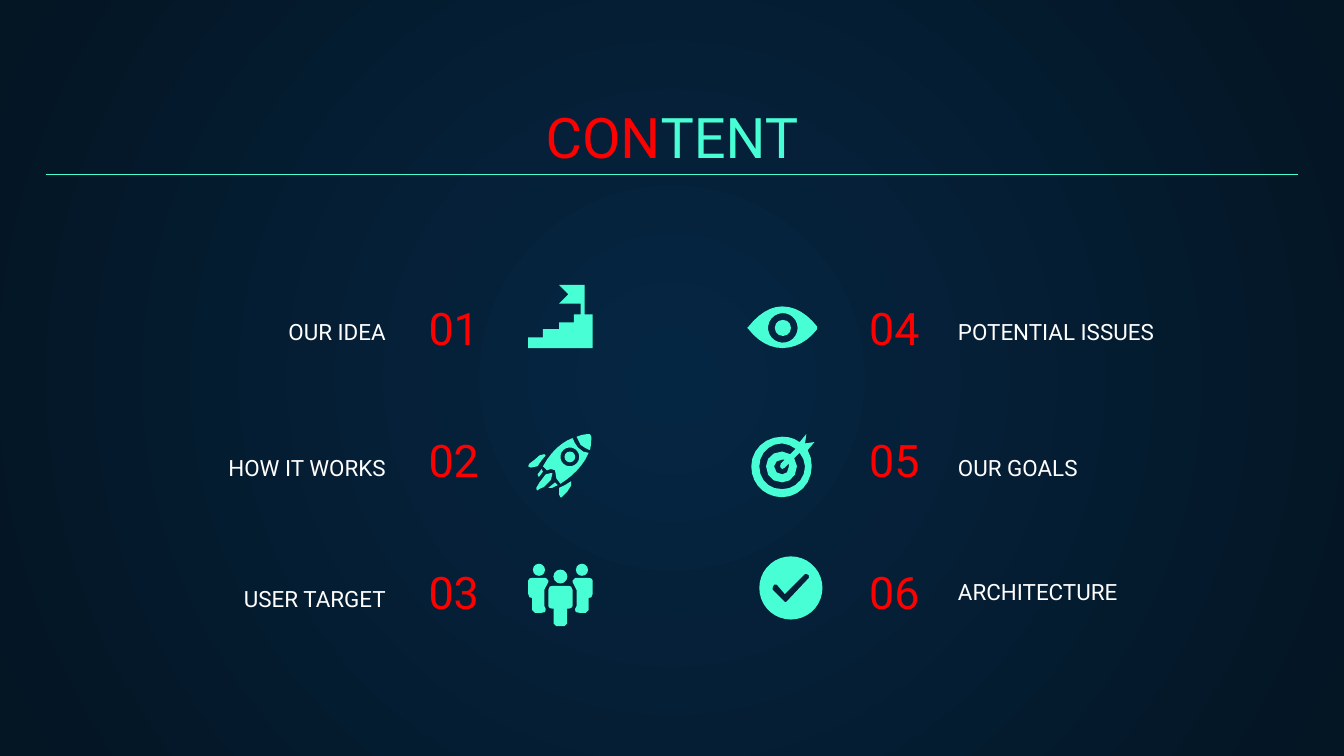
from dataclasses import dataclass
from math import cos, dist, pi, sin

from lxml.etree import SubElement
from pptx import Presentation
from pptx.dml.color import RGBColor
from pptx.enum.shapes import MSO_CONNECTOR, MSO_SHAPE
from pptx.enum.text import MSO_ANCHOR, MSO_AUTO_SIZE, PP_ALIGN
from pptx.oxml import parse_xml
from pptx.oxml.ns import nsdecls, qn
from pptx.util import Pt

Contour = list[tuple[float, ...]]


@dataclass(frozen=True)
class Theme:
    font: str = "Roboto"
    red: str = "FF0000"
    mint: str = "48FFD5"
    white: str = "FFFFFF"
    glow: str = "052643"
    night: str = "041523"
    title_size: float = 30
    number_size: float = 24
    label_size: float = 12


@dataclass(frozen=True)
class Dot:
    x: float
    y: float
    radius: float


Piece = Dot | list[Contour]


@dataclass(frozen=True)
class Icon:
    left: float
    top: float
    pieces: list[Piece]


@dataclass(frozen=True)
class Topic:
    number: str
    label: str
    label_top: float
    icon: Icon


@dataclass(frozen=True)
class Column:
    number_left: float
    label_left: float
    number_align: PP_ALIGN
    label_align: PP_ALIGN
    topics: list[Topic]


THEME = Theme()
ICON_UNIT = 0.72
CURVE_STEP = 5
FIRST_ROW, ROW_STEP = 149.76, 70.56


def circle(x: float, y: float, radius: float) -> Contour:
    steps = 12 + round(radius)
    angles = [2 * pi * step / steps for step in range(steps)]
    return [(x + radius * cos(angle), y + radius * sin(angle)) for angle in angles]


def mirror(contour: Contour, width: float) -> Contour:
    return [tuple(width - value if index % 2 == 0 else value for index, value in enumerate(segment))
            for segment in contour]


def flatten(contour: Contour) -> Contour:
    points = [contour[0]]
    for segment in contour[1:]:
        if len(segment) == 2:
            points.append(segment)
            continue
        start, (x1, y1, x2, y2, x3, y3) = points[-1], segment
        steps = max(1, round(dist(start, (x3, y3)) / CURVE_STEP))
        for step in range(1, steps + 1):
            t = step / steps
            weights = ((1 - t) ** 3, 3 * t * (1 - t) ** 2, 3 * t * t * (1 - t), t ** 3)
            points.append(tuple(sum(w * v for w, v in zip(weights, axis))
                                for axis in ((start[0], x1, x2, x3), (start[1], y1, y2, y3))))
    return points


def draw_piece(shapes, icon: Icon, piece: Piece):
    if isinstance(piece, Dot):
        diameter = Pt(2 * piece.radius * ICON_UNIT)
        return shapes.add_shape(
            MSO_SHAPE.OVAL, Pt(icon.left + (piece.x - piece.radius) * ICON_UNIT),
            Pt(icon.top + (piece.y - piece.radius) * ICON_UNIT), diameter, diameter)
    outlines = [[(Pt(icon.left + x * ICON_UNIT), Pt(icon.top + y * ICON_UNIT))
                 for x, y in flatten(contour)] for contour in piece]
    builder = shapes.build_freeform(*outlines[0][0], scale=1.0)
    builder.add_line_segments(outlines[0][1:], close=True)
    for outline in outlines[1:]:
        builder.move_to(*outline[0])
        builder.add_line_segments(outline[1:], close=True)
    return builder.convert_to_shape()


def draw_icon(slide, icon: Icon) -> None:
    shapes = slide.shapes if len(icon.pieces) == 1 else slide.shapes.add_group_shape().shapes
    for piece in icon.pieces:
        drawing = draw_piece(shapes, icon, piece)
        drawing.shadow.inherit = False
        drawing.fill.solid()
        drawing.fill.fore_color.rgb = RGBColor.from_string(THEME.mint)
        drawing.line.fill.background()


def write(box, text: str, *, size: float, color: str, align: PP_ALIGN) -> None:
    frame = box.text_frame
    frame.word_wrap = True
    frame.auto_size = MSO_AUTO_SIZE.NONE
    frame.vertical_anchor = MSO_ANCHOR.BOTTOM
    frame.margin_left = frame.margin_right = frame.margin_top = frame.margin_bottom = Pt(7.2)
    paragraph = frame.paragraphs[0]
    paragraph.alignment = align
    run = paragraph.add_run()
    run.text = text
    run.font.name = THEME.font
    run.font.size = Pt(size)
    run.font.color.rgb = RGBColor.from_string(color)


def paint_background(slide) -> None:
    slide.background.fill.solid()
    properties = slide.background._cSld.bg.bgPr
    properties.replace(properties[0], parse_xml(
        f'<a:gradFill {nsdecls("a")} rotWithShape="1"><a:gsLst>'
        f'<a:gs pos="0"><a:srgbClr val="{THEME.glow}"/></a:gs>'
        f'<a:gs pos="100000"><a:srgbClr val="{THEME.night}"/></a:gs></a:gsLst>'
        '<a:path path="circle"><a:fillToRect l="50000" t="50000" r="50000" b="50000"/></a:path>'
        '</a:gradFill>'))


def draw_title(slide) -> None:
    title = slide.shapes.title
    title.left, title.top, title.width, title.height = Pt(24.48), Pt(50.4), Pt(671.04), Pt(47.52)
    for text, color in (("CON", THEME.red), ("TENT", THEME.mint)):
        write(title, text, size=THEME.title_size, color=color, align=PP_ALIGN.CENTER)
    rule = slide.shapes.add_connector(MSO_CONNECTOR.STRAIGHT, Pt(24.48), Pt(93.6), Pt(695.52), Pt(93.6))
    rule.line.color.rgb = RGBColor.from_string(THEME.mint)
    rule.line.width = Pt(0.75)
    SubElement(rule._element.spPr, qn("a:effectLst"))


def draw_column(slide, column: Column) -> None:
    for row, topic in enumerate(column.topics):
        number = slide.shapes.add_textbox(Pt(column.number_left), Pt(FIRST_ROW + row * ROW_STEP), Pt(92.88), Pt(47.52))
        write(number, topic.number, size=THEME.number_size, color=THEME.red, align=column.number_align)
        label = slide.shapes.add_textbox(Pt(column.label_left), Pt(topic.label_top), Pt(163.44), Pt(15.12))
        write(label, topic.label, size=THEME.label_size, color=THEME.white, align=column.label_align)
        draw_icon(slide, topic.icon)


STAIRS = Icon(282.96, 152.64, [[[
    (23, 0), (30, 7), (23, 14), (39, 14), (39, 22), (34, 22), (34, 28), (23, 28), (23, 33),
    (11, 33), (11, 39), (0, 39), (0, 47), (48, 47), (48, 22), (42, 22), (42, 0)]]])

ROCKET = Icon(282.96, 232.56, [
    [[(10, 26), (7, 30), (8, 32), (11, 28)]],
    [[(20, 36), (15, 40), (18, 40), (22, 38)]],
    [[(17, 29), (13, 30), (9, 35, 7, 38, 6, 40), (6, 41), (7, 42), (8, 41),
      (10, 41, 13, 39, 17, 34), (19, 33, 19, 30, 18, 29)]],
    [[(12, 15), (10, 15, 7, 16, 5, 19), (1, 22), (0, 24), (2, 25), (7, 24), (9, 21, 11, 18, 13, 16)]],
    [[(32, 35), (29, 37, 26, 39, 23, 40), (24, 41, 23, 42, 23, 45), (24, 47),
      (25, 47), (29, 43), (32, 40, 33, 36, 32, 35)]],
    Dot(31, 17, 4),
    [[(44, 0), (41, 0, 39, 1, 36, 2), (36, 4, 37, 6, 39, 8), (41, 10, 44, 11, 46, 12),
      (47, 9, 47, 5, 47, 2), (46, 0)]],
    [[(33, 3), (25, 6, 17, 13, 11, 24), (14, 27), (17, 26), (20, 27), (22, 29, 22, 31, 21, 33),
      (24, 37), (32, 32, 41, 24, 45, 14), (42, 14, 40, 13, 37, 10), (35, 8, 34, 5, 33, 3)],
     circle(31, 17, 7)]])

SIDE_BODY = [
    (3, 11), (1, 11.5), (0, 13), (0, 23), (1, 25.5), (3, 26), (3, 35), (5, 37), (10, 37), (12.5, 36.5),
    (13, 35), (13, 34), (12, 32), (12, 20), (12, 17, 13, 15, 15, 14), (15, 13), (13, 11)]
FRONT_BODY = [
    (18, 17), (16, 17.5), (15, 20), (15, 32), (16, 33.5), (18, 34), (19, 34), (19, 45), (21, 47),
    (27, 47), (29, 45), (29, 34), (30, 34), (32, 33.5), (33, 32), (33, 20), (32, 17.5), (30, 17)]
PEOPLE = Icon(282.96, 301.68, [
    Dot(8, 5, 4.5), [SIDE_BODY], Dot(40, 5, 4.5), [mirror(SIDE_BODY, 48)],
    [FRONT_BODY], Dot(24, 10, 5.2)])

EYE = Icon(400.32, 164.16, [
    [[(26, 0), (17, 0, 8, 6, 1, 15), (0, 16), (1, 17), (8, 26, 17, 31, 26, 31),
      (36, 31, 45, 26, 52, 17), (52, 15), (45, 6, 36, 0, 26, 0)], circle(26.5, 16, 11)],
    Dot(26.5, 16, 6)])

TARGET = Icon(402.48, 232.56, [[
    [(23, 19), (25, 19), (22, 22), (21.5, 24), (22, 25), (23, 26), (25, 25), (28, 22), (28, 24),
     (28, 28, 26, 30, 23, 30), (20, 30, 17, 28, 17, 24), (17, 21, 20, 19, 23, 19)],
    [(23, 7), (27, 7, 30, 9, 33, 11), (29, 15), (27, 14, 25, 13, 23, 13), (16, 13, 11, 18, 11, 24),
     (11, 31, 16, 36, 23, 36), (29, 36, 34, 31, 34, 24), (34, 22, 33, 20, 32, 18), (36, 14),
     (38, 17, 40, 20, 40, 24), (40, 34, 32, 41, 23, 41), (13, 41, 6, 34, 6, 24), (6, 15, 13, 7, 23, 7)],
    [(41, 0), (36, 6), (32, 3, 28, 2, 23, 2), (10, 2, 0, 12, 0, 24), (0, 37, 10, 47, 23, 47),
     (35, 47, 45, 37, 45, 24), (45, 20, 44, 15, 42, 12), (47, 6), (40, 7)]]])

CHECK = Icon(406.8, 298.08, [[
    circle(23.5, 23.5, 23.5),
    [(35, 13), (37, 14), (37, 16), (20, 34), (19, 34), (10, 25), (10, 23), (11, 21), (13, 21), (19, 28), (34, 13)]]])

COLUMNS = [
    Column(222.48, 50.4, PP_ALIGN.LEFT, PP_ALIGN.RIGHT, [
        Topic("01", "OUR IDEA", 177.12, STAIRS),
        Topic("02", "HOW IT WORKS", 249.84, ROCKET),
        Topic("03", "USER TARGET", 319.68, PEOPLE)]),
    Column(406.8, 506.16, PP_ALIGN.RIGHT, PP_ALIGN.LEFT, [
        Topic("04", "POTENTIAL ISSUES", 177.12, EYE),
        Topic("05", "OUR GOALS", 249.84, TARGET),
        Topic("06", "ARCHITECTURE", 316.08, CHECK)])]


def main() -> None:
    presentation = Presentation()
    presentation.slide_width, presentation.slide_height = Pt(720), Pt(405)
    slide = presentation.slides.add_slide(presentation.slide_layouts[5])
    paint_background(slide)
    draw_title(slide)
    for column in COLUMNS:
        draw_column(slide, column)
    presentation.save("out.pptx")


if __name__ == "__main__":
    main()
